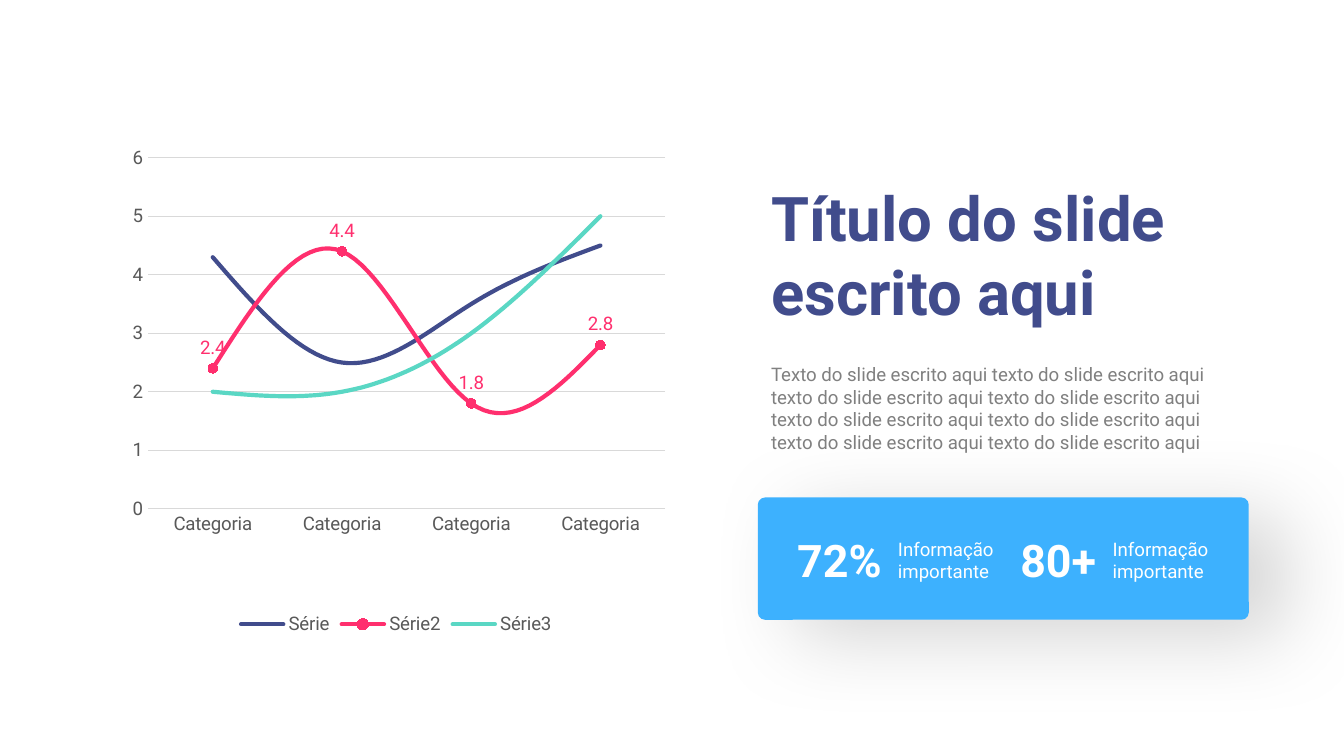
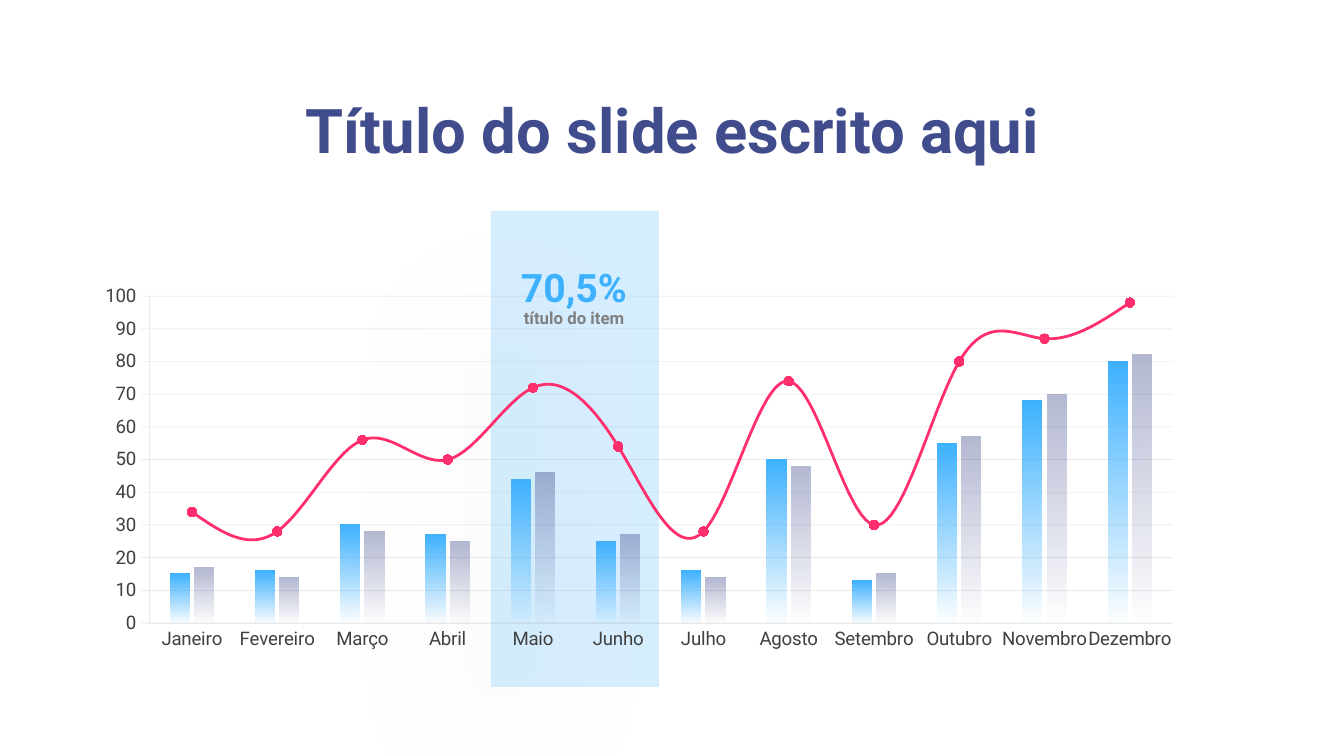
from lxml.etree import SubElement
from pptx import Presentation
from pptx.chart.data import CategoryChartData
from pptx.dml.color import RGBColor
from pptx.enum.chart import (XL_CHART_TYPE, XL_LABEL_POSITION, XL_LEGEND_POSITION,
                             XL_MARKER_STYLE, XL_TICK_MARK)
from pptx.enum.shapes import MSO_SHAPE
from pptx.enum.text import MSO_ANCHOR, MSO_AUTO_SIZE, PP_ALIGN
from pptx.oxml import parse_xml
from pptx.oxml.ns import nsdecls, qn
from pptx.util import Pt

FONT = "Roboto"
COLORS = {name: RGBColor.from_string(value) for name, value in {
    "navy": "414C8C", "pink": "FF2F6E", "teal": "5AD7C4", "blue": "3DB1FE",
    "gray": "808080", "white": "FFFFFF", "label": "595959", "dark": "404040",
    "grid": "D9D9D9", "rule": "A6A6A6"}.items()}
TITLE = "Título do slide escrito aqui"
TITLE_STYLE = {"size": 33, "color": "navy", "bold": True}


def write(sp, box, lines, size, color, bold=False, align=PP_ALIGN.LEFT, spacing=None):
    """Place a title or text box and fill it, one paragraph per line."""
    sp.left, sp.top, sp.width, sp.height = map(Pt, box)
    tf = sp.text_frame
    tf.word_wrap = True
    tf.auto_size = MSO_AUTO_SIZE.SHAPE_TO_FIT_TEXT
    tf.vertical_anchor = MSO_ANCHOR.TOP
    for i, line in enumerate(lines):
        p = tf.add_paragraph() if i else tf.paragraphs[0]
        p.alignment = align
        if spacing:
            p.line_spacing = spacing
        r = p.add_run()
        r.text = line
        r.font.name = FONT
        r.font.size = Pt(size)
        r.font.bold = bold
        r.font.color.rgb = COLORS[color]


def add_panel(s, box, radius, opacity, shadow):
    """Add a blue panel; shadow is (opacity %, blur, distance, angle)."""
    sp = s.shapes.add_shape(MSO_SHAPE.ROUNDED_RECTANGLE, *map(Pt, box))
    sp.adjustments[0] = radius
    sp.fill.solid()
    sp.fill.fore_color.rgb = COLORS["blue"]
    sp.line.fill.background()
    sp.shadow.inherit = False
    if opacity < 100:
        clr = sp._element.spPr.find(qn("a:solidFill"))[0]
        SubElement(clr, qn("a:alpha"), val=str(opacity * 1000))
    alpha, blur, dist, angle = shadow
    sp._element.spPr.find(qn("a:effectLst")).append(parse_xml(
        f'<a:outerShdw {nsdecls("a")} blurRad="{Pt(blur)}" dist="{Pt(dist)}" '
        f'dir="{angle * 60000}" algn="ctr" rotWithShape="0"><a:srgbClr val="000000">'
        f'<a:alpha val="{alpha * 1000}"/></a:srgbClr></a:outerShdw>'))


prs = Presentation()
prs.slide_width, prs.slide_height = Pt(720), Pt(405)
title_only = prs.slide_layouts[5]

# Slide 1: line chart beside title, text and key figures
s = prs.slides.add_slide(title_only)
data = CategoryChartData()
data.categories = ["Categoria"] * 4
data.add_series("Série", (4.3, 2.5, 3.5, 4.5))
data.add_series("Série2", (2.4, 4.4, 1.8, 2.8))
data.add_series("Série3", (2, 2, 3, 5))
line_chart = s.shapes.add_chart(XL_CHART_TYPE.LINE, Pt(57), Pt(73.5), Pt(310.5),
                                Pt(269.5), data).chart
line_chart.has_legend = True
line_chart.legend.position = XL_LEGEND_POSITION.BOTTOM
line_chart.legend.include_in_layout = False
line_chart.legend.font.name = FONT
line_chart.legend.font.size = Pt(10)
line_chart.legend.font.color.rgb = COLORS["label"]
line_chart.value_axis.maximum_scale = 6
line_chart.value_axis.major_unit = 1

plot_area = line_chart._chartSpace.chart.plotArea
for old in plot_area.findall(qn("c:layout")):
    plot_area.remove(old)
places = "".join(f'<c:{tag} val="{val}"/>' for tag, val in (
    ("layoutTarget", "inner"), ("xMode", "edge"), ("yMode", "edge"),
    ("x", 0.072), ("y", 0.041), ("w", 0.892), ("h", 0.698)))
plot_area.insert(0, parse_xml(
    f'<c:layout {nsdecls("c")}><c:manualLayout>{places}</c:manualLayout></c:layout>'))

write(s.shapes.title, (406, 93, 263, 87), [TITLE], **TITLE_STYLE)
body = "Texto do slide escrito aqui" + " texto do slide escrito aqui" * 7
box = (406, 191, 263, 55.5)
write(s.shapes.add_textbox(*map(Pt, box)), box, [body], 10, "gray")

add_panel(s, (406, 266.5, 263, 65.5), 0.058, 100, (17, 45, 22, 25))
for figure, left, width, info_left in (("72%", 420, 72.5, 474), ("80+", 539.5, 65.5, 589)):
    box = (left, 282, width, 36)
    write(s.shapes.add_textbox(*map(Pt, box)), box, [figure], 24, "white", bold=True)
    box = (info_left, 284.5, 69, 32.5)
    write(s.shapes.add_textbox(*map(Pt, box)), box, ["Informação", "importante"], 10, "white")

# Slide 2: columns with a line over a highlighted band
s = prs.slides.add_slide(title_only)
write(s.shapes.title, (62.5, 45.5, 595.5, 47.5), [TITLE], align=PP_ALIGN.CENTER, **TITLE_STYLE)
add_panel(s, (263, 113, 90, 255), 0, 21, (5, 64, 55, 135))

data = CategoryChartData()
data.categories = ["Janeiro", "Fevereiro", "Março", "Abril", "Maio", "Junho", "Julho",
                   "Agosto", "Setembro", "Outubro", "Novembro", "Dezembro"]
data.add_series("Series 1", (15, 16, 30, 27, 44, 25, 16, 50, 13, 55, 68, 80))
data.add_series("Series 2", (17, 14, 28, 25, 46, 27, 14, 48, 15, 57, 70, 82))
data.add_series("Series 3", (34, 28, 56, 50, 72, 54, 28, 74, 30, 80, 87, 98))
combo_chart = s.shapes.add_chart(XL_CHART_TYPE.COLUMN_CLUSTERED, Pt(44.5), Pt(149),
                                 Pt(595.5), Pt(203), data).chart
combo_chart.has_legend = False
combo_chart.value_axis.maximum_scale = 100
combo_chart.value_axis.major_unit = 10
columns = combo_chart.plots[0]
columns.gap_width, columns.overlap = 219, -27

# Move the third series from the columns to a line on the same axes
bars = combo_chart._chartSpace.chart.plotArea.find(qn("c:barChart"))
ser = bars.findall(qn("c:ser"))[2]
for tag in ser.findall(qn("c:invertIfNegative")):
    ser.remove(tag)
axis_ids = "".join(f'<c:axId val="{ax.get("val")}"/>' for ax in bars.findall(qn("c:axId")))
lines = parse_xml(
    f'<c:lineChart {nsdecls("c")}><c:grouping val="standard"/><c:varyColors val="0"/>'
    f'<c:marker val="1"/>{axis_ids}</c:lineChart>')
lines.insert(2, ser)
bars.addnext(lines)

for column, color, opacity in zip(columns.series, ("blue", "navy"), (100, 40)):
    fill = column.format.fill
    fill.gradient()
    fill.gradient_angle = 270
    for stop, position in zip(fill.gradient_stops, (0, 1)):
        stop.color.rgb = COLORS[color]
        stop.position = position
    for clr, alpha in zip(column._element.xpath(".//a:gs/a:srgbClr"), (opacity, 0)):
        SubElement(clr, qn("a:alpha"), val=str(alpha * 1000))

for text, top, height, size, color in (("título do item", 159, 20, 9, "gray"),
                                       ("70,5%", 132.5, 36.5, 21, "blue")):
    box = (257, top, 101, height)
    write(s.shapes.add_textbox(*map(Pt, box)), box, [text], size, color, bold=True,
          align=PP_ALIGN.CENTER, spacing=1.2)

# Formatting shared by both charts
curves = list(zip(line_chart.plots[0].series, ("navy", "pink", "teal"), (2.25,) * 3))
curves.append((combo_chart.plots[1].series[0], "pink", 1.5))
for curve, color, width in curves:
    curve.smooth = True
    curve.format.line.color.rgb = COLORS[color]
    curve.format.line.width = Pt(width)
    curve._element.xpath("./c:spPr/a:ln")[0].set("cap", "rnd")
    marker = curve.marker
    if color == "pink":
        marker.style = XL_MARKER_STYLE.CIRCLE
        marker.size = 5
        marker.format.fill.solid()
        marker.format.fill.fore_color.rgb = COLORS[color]
        marker.format.line.color.rgb = COLORS[color]
    else:
        marker.style = XL_MARKER_STYLE.NONE

labels = curves[1][0].data_labels
labels.show_value = True
labels.position = XL_LABEL_POSITION.ABOVE
labels.font.name = FONT
labels.font.size = Pt(10)
labels.font.color.rgb = COLORS["pink"]

for chart, text_color, rule, width in ((line_chart, "label", "grid", 0.75),
                                       (combo_chart, "dark", "rule", 0.25)):
    chart.has_title = False
    chart.font.name = FONT
    chart.font.size = Pt(10)
    chart.plots[0].vary_by_categories = False
    cat, val = chart.category_axis, chart.value_axis
    val.minimum_scale = 0
    val.has_major_gridlines = True
    for axis in (cat, val):
        axis.major_tick_mark = axis.minor_tick_mark = XL_TICK_MARK.NONE
        axis.tick_labels.font.name = FONT
        axis.tick_labels.font.size = Pt(10)
        axis.tick_labels.font.color.rgb = COLORS[text_color]
    for part in (cat, val, val.major_gridlines):
        part.format.line.color.rgb = COLORS[rule]
        part.format.line.width = Pt(width)

line_chart.value_axis.format.line.fill.background()
combo_chart.value_axis.major_tick_mark = XL_TICK_MARK.OUTSIDE
for axis in (combo_chart.category_axis, combo_chart.value_axis):
    for clr in axis._element.xpath(".//a:ln//a:srgbClr"):
        SubElement(clr, qn("a:alpha"), val="35000")

prs.save("out.pptx")
